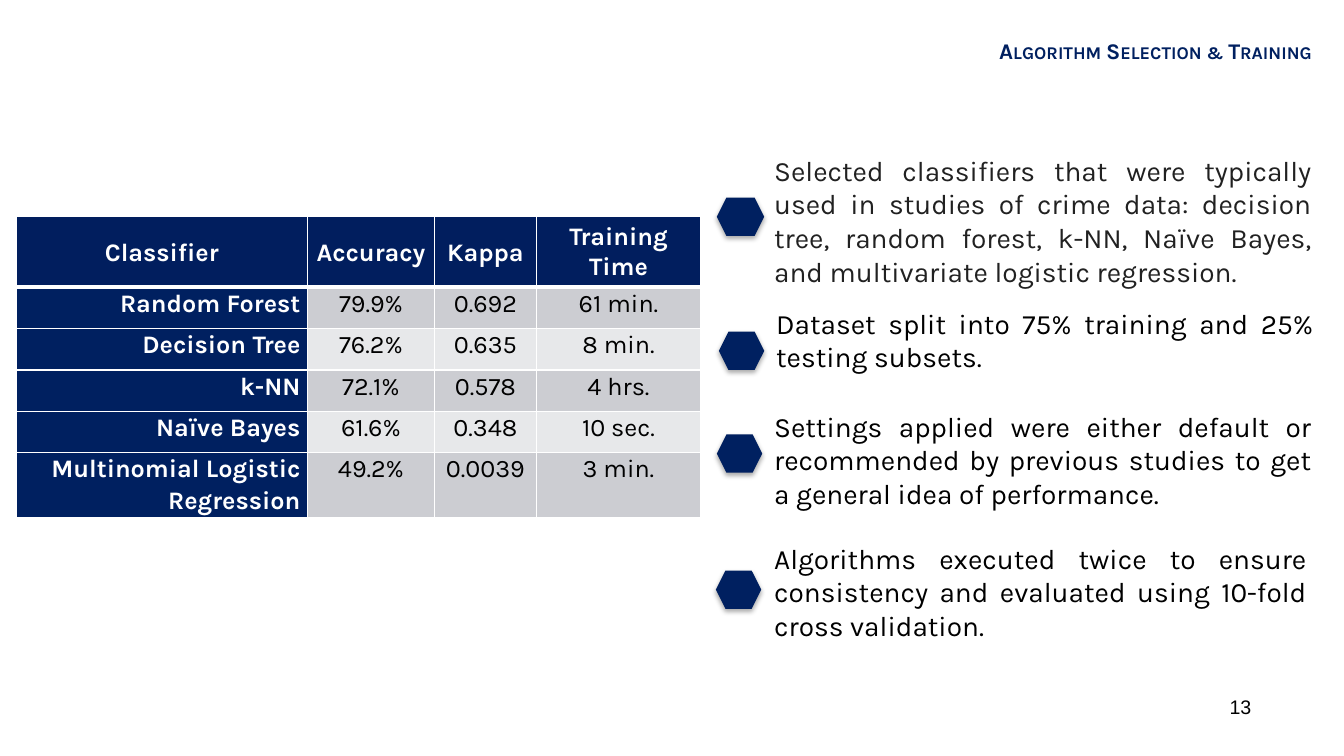
from pptx import Presentation
from pptx.dml.color import RGBColor
from pptx.enum.shapes import MSO_SHAPE
from pptx.enum.text import MSO_ANCHOR, PP_ALIGN
from pptx.oxml import parse_xml
from pptx.oxml.ns import nsdecls, qn
from pptx.util import Inches, Pt

NAVY = RGBColor(0x00, 0x20, 0x60)
HEAD = RGBColor(0x01, 0x1E, 0x5E)
DARK = RGBColor(0xCC, 0xCD, 0xD2)
LIGHT = RGBColor(0xE7, 0xE8, 0xEA)
INK = RGBColor(0x21, 0x21, 0x21)
BLACK = RGBColor(0, 0, 0)
WHITE = RGBColor(0xFF, 0xFF, 0xFF)


def write(frame, text, size, color, align, bold=False, font="Karla"):
    """Fill a text frame with one formatted paragraph and return it."""
    frame.word_wrap = True
    para = frame.paragraphs[0]
    para.text = text
    para.alignment = align
    face = para.runs[0].font
    face.name, face.size, face.bold = font, Pt(size), bold
    face.color.rgb = color
    return para


def add_text(left, top, width, height):
    box = slide.shapes.add_textbox(
        Inches(left), Inches(top), Inches(width), Inches(height))
    return box.text_frame


prs = Presentation()
prs.slide_width, prs.slide_height = Inches(13.33), Inches(7.5)
slide = prs.slides.add_slide(prs.slide_layouts[6])

# Page number and title
frame = add_text(12.03, 6.81, 0.48, 0.4)
frame.vertical_anchor = MSO_ANCHOR.MIDDLE
write(frame, "13", 14, BLACK, PP_ALIGN.RIGHT, font="Arial")

frame = add_text(8.74, 0.29, 4.37, 0.53)
frame.margin_top = frame.margin_bottom = Inches(0.1)
title = write(frame, "Algorithm Selection & Training", 16, NAVY,
              PP_ALIGN.RIGHT, bold=True)
title.line_spacing = 0.95
title.runs[0].font._element.set("cap", "small")

# Classifier results
rows = [
    ("Classifier", "Accuracy", "Kappa", "Training Time"),
    ("Random Forest", "79.9%", "0.692", "61 min."),
    ("Decision Tree", "76.2%", "0.635", "8 min."),
    ("k-NN", "72.1%", "0.578", "4 hrs."),
    ("Naïve Bayes", "61.6%", "0.348", "10 sec."),
    ("Multinomial Logistic Regression", "49.2%", "0.0039", "3 min."),
]
widths = [2.89, 1.26, 1.01, 1.63]
table = slide.shapes.add_table(
    len(rows), len(widths), Inches(0.16), Inches(2.15),
    Inches(sum(widths)), Inches(0.41 * len(rows))).table
for col, width in zip(table.columns, widths):
    col.width = Inches(width)

for r, row in enumerate(rows):
    for c, text in enumerate(row):
        cell = table.cell(r, c)
        head, name = r == 0, c == 0
        align = PP_ALIGN.RIGHT if name and not head else PP_ALIGN.CENTER
        para = write(cell.text_frame, text, 18,
                     WHITE if head or name else BLACK, align, head or name)
        if head:
            cell.vertical_anchor = MSO_ANCHOR.MIDDLE
        if text != "Training Time":
            para.line_spacing, para.space_after = 1.07, Pt(8)
            cell.margin_left = cell.margin_right = Inches(0.07)
            cell.margin_top = cell.margin_bottom = 0
        props = cell._tc.get_or_add_tcPr()
        for side in "LRB":
            weight = Pt(3) if head and side == "B" else Pt(1)
            props.append(parse_xml(
                f'<a:ln{side} {nsdecls("a")} w="{weight}"><a:solidFill>'
                f'<a:srgbClr val="{WHITE}"/></a:solidFill></a:ln{side}>'))
        cell.fill.solid()
        cell.fill.fore_color.rgb = (
            HEAD if head else NAVY if name else DARK if r % 2 else LIGHT)

# Key points: text, color, text box, hexagon left, top and width
points = [
    ("Selected classifiers that were typically used in studies of crime "
     "data: decision tree, random forest, k-NN, Naïve Bayes, and "
     "multivariate logistic regression.",
     INK, (7.58, 1.47, 5.53, 1.45), (7.11, 1.96, 0.47)),
    ("Dataset split into 75% training and 25% testing subsets.",
     BLACK, (7.6, 2.99, 5.53, 0.77), (7.13, 3.29, 0.45)),
    ("Settings applied were either default or recommended by previous "
     "studies to get a general idea of performance.",
     BLACK, (7.58, 4.01, 5.53, 1.11), (7.11, 4.31, 0.45)),
    ("Algorithms executed twice to ensure consistency and evaluated using "
     "10-fold cross validation.",
     BLACK, (7.58, 5.32, 5.48, 1.11), (7.1, 5.66, 0.45)),
]
for text, color, place, (left, top, width) in points:
    mark = slide.shapes.add_shape(
        MSO_SHAPE.HEXAGON, Inches(left), Inches(top),
        Inches(width), Inches(0.38))
    mark.fill.solid()
    mark.fill.fore_color.rgb = NAVY
    mark.line.fill.background()
    mark.shadow.inherit = False
    mark._element.spPr.find(qn("a:effectLst")).append(parse_xml(
        f'<a:outerShdw {nsdecls("a")} blurRad="{Pt(3.5)}" dist="{Pt(2.2)}" '
        'dir="5400000" rotWithShape="0"><a:srgbClr val="000000">'
        '<a:alpha val="32000"/></a:srgbClr></a:outerShdw>'))
    write(add_text(*place), text, 20, color, PP_ALIGN.JUSTIFY)

prs.save("out.pptx")
